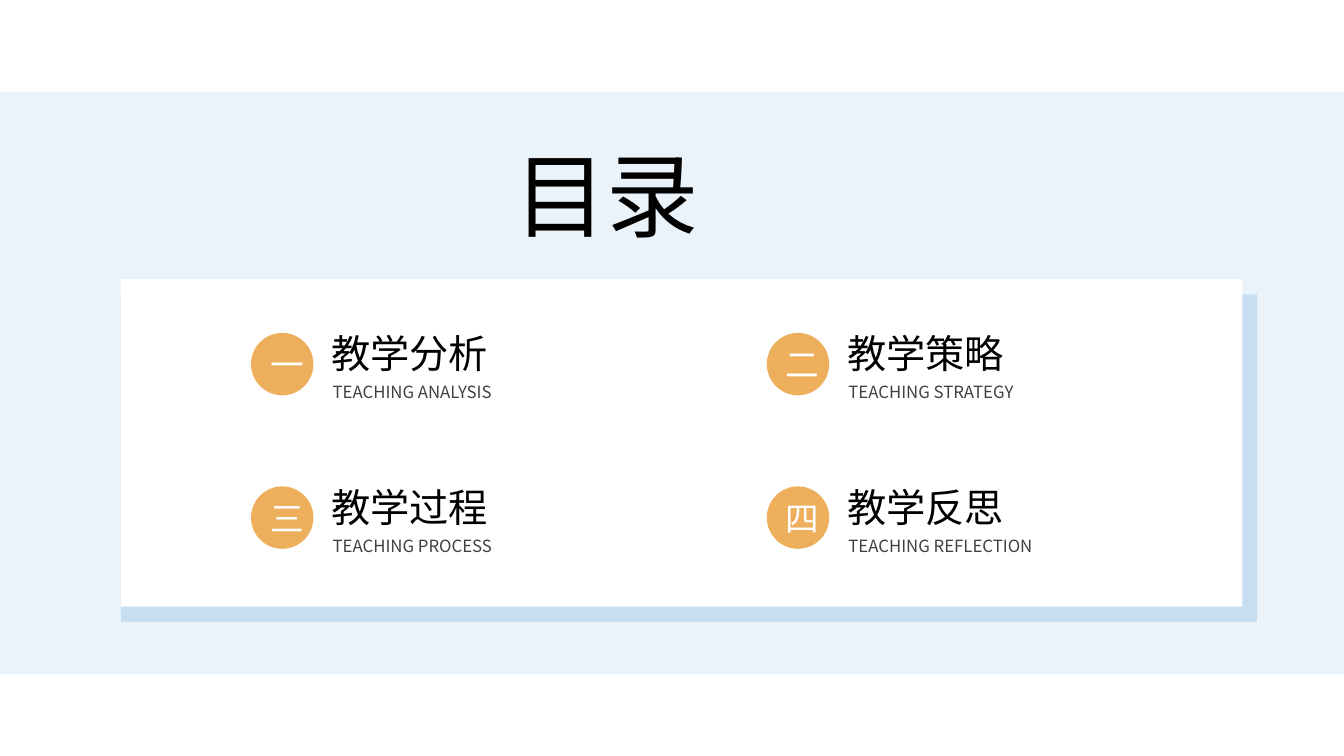
import pptx
import pptx.util
import pptx.dml.color
import pptx.enum.shapes
import pptx.enum.text
import pptx.oxml.ns
import lxml.etree

Pt = pptx.util.Pt
KINDS = pptx.enum.shapes.MSO_SHAPE
ALIGN = pptx.enum.text.PP_ALIGN
ANCHOR = pptx.enum.text.MSO_ANCHOR
FIT = pptx.enum.text.MSO_AUTO_SIZE
FONT = "Noto Sans CJK SC"

ITEMS = [
    ("一", "教学分析", "TEACHING ANALYSIS"),
    ("二", "教学策略", "TEACHING STRATEGY"),
    ("三", "教学过程", "TEACHING PROCESS"),
    ("四", "教学反思", "TEACHING REFLECTION"),
]


def tint(code):
    return pptx.dml.color.RGBColor.from_string(code)


def write(shape, text, size=12, color="000000", align=ALIGN.JUSTIFY,
          anchor=ANCHOR.TOP, fit=FIT.SHAPE_TO_FIT_TEXT):
    frame = shape.text_frame
    frame.word_wrap = True
    frame.auto_size = fit
    frame.vertical_anchor = anchor
    para = frame.paragraphs[0]
    para.alignment = align
    run = para.add_run()
    run.text = text
    run.font.size = Pt(size)
    run.font.color.rgb = tint(color)
    run.font.name = FONT
    # East Asian glyphs take their typeface from a separate element
    east = lxml.etree.SubElement(run.font._element, pptx.oxml.ns.qn("a:ea"))
    east.set("typeface", FONT)


def block(slide, kind, left, top, width, height, color):
    shape = slide.shapes.add_shape(kind, Pt(left), Pt(top), Pt(width), Pt(height))
    shape.shadow.inherit = False
    shape.fill.solid()
    shape.fill.fore_color.rgb = tint(color)
    shape.line.fill.background()
    return shape


def label(slide, left, top, width, height, text, **style):
    box = slide.shapes.add_textbox(Pt(left), Pt(top), Pt(width), Pt(height))
    write(box, text, **style)


def header(slide, left, top, width, height):
    title = slide.shapes.title
    title.left, title.top = Pt(left), Pt(top)
    title.width, title.height = Pt(width), Pt(height)
    write(title, "目录", size=66)
    # Bring the title in front of the panels
    slide.shapes._spTree.append(title._element)


def entry(slide, left, top, number, name, gloss):
    label(slide, left + 50.4, top - 6, 149.8, 41, name, size=28)
    label(slide, left + 51.2, top + 31.4, 147.6, 21.6, gloss, color="404040")
    disc = block(slide, KINDS.OVAL, left, top, 44.6, 44.6, "EEAF5D")
    write(disc, number, size=24, color="FFFFFF", align=ALIGN.CENTER,
          anchor=ANCHOR.MIDDLE, fit=FIT.NONE)


def panel(slide, left, top, width, height):
    """White card with an offset blue slab behind it and a two-column grid."""
    block(slide, KINDS.RECTANGLE, left, top + 11, width + 10.5, height, "C7DEF1")
    block(slide, KINDS.RECTANGLE, left, top, width, height, "FFFFFF")
    for index, item in enumerate(ITEMS):
        row, col = divmod(index, 2)
        entry(slide, left + 92.9 + col * 368.4, top + 38.5 + row * 109.6, *item)


def main():
    deck = pptx.Presentation()
    deck.slide_width, deck.slide_height = Pt(960), Pt(540)
    slide = deck.slides.add_slide(deck.slide_layouts.get_by_name("Title Only"))
    block(slide, KINDS.RECTANGLE, 0, 65.5, 960, 416, "EBF3FA")
    panel(slide, 86.4, 199.3, 801, 234)
    header(slide, 360, 95, 194.4, 87)
    deck.save("out.pptx")


if __name__ == "__main__":
    main()
